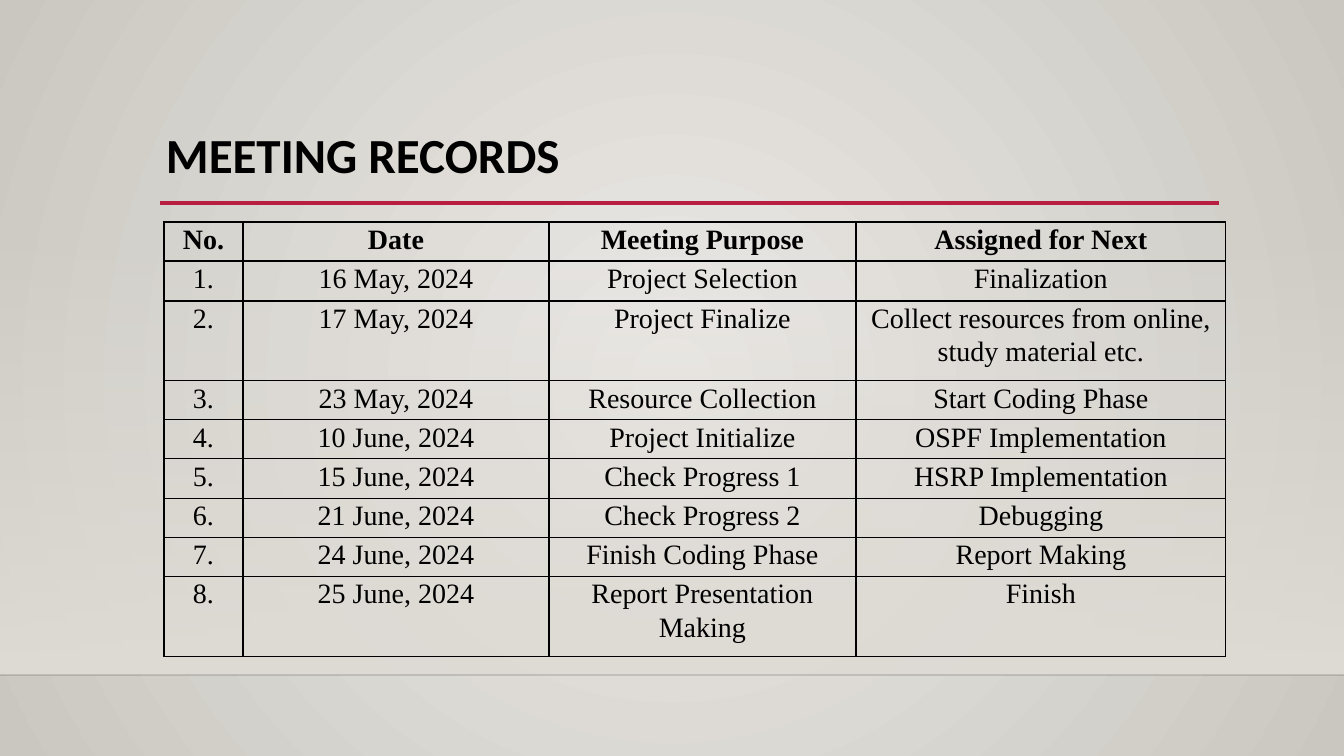
from lxml.etree import SubElement
from pptx import Presentation
from pptx.dml.color import RGBColor
from pptx.enum.shapes import MSO_CONNECTOR as Connector, MSO_SHAPE as Shape
from pptx.enum.text import MSO_ANCHOR as Anchor, PP_ALIGN as Align
from pptx.oxml import parse_xml
from pptx.oxml.ns import nsdecls, qn
from pptx.util import Emu, Pt

WIDTH, HEIGHT = 1344, 756
BLACK, RED = "000000", "B71E42"
COLUMNS = [79, 306, 307, 370]
ROWS = [39, 40, 80, 39, 39, 40, 39, 39, 80]
MEETINGS = [
    ("No.", "Date", "Meeting Purpose", "Assigned for Next"),
    ("1.", "16 May, 2024", "Project Selection", "Finalization"),
    ("2.", "17 May, 2024", "Project Finalize",
     "Collect resources from online, study material etc."),
    ("3.", "23 May, 2024", "Resource Collection", "Start Coding Phase"),
    ("4.", "10 June, 2024", "Project Initialize", "OSPF Implementation"),
    ("5.", "15 June, 2024", "Check Progress 1", "HSRP Implementation"),
    ("6.", "21 June, 2024", "Check Progress 2", "Debugging"),
    ("7.", "24 June, 2024", "Finish Coding Phase", "Report Making"),
    ("8.", "25 June, 2024", "Report Presentation Making", "Finish"),
]
RADIAL = (f'<a:path {nsdecls("a")} path="circle">'
          '<a:fillToRect l="50000" t="50000" r="50000" b="50000"/></a:path>')
DOWNWARD = f'<a:lin {nsdecls("a")} ang="5400000" scaled="0"/>'


def px(length):
    """Turn pixels into EMU."""
    return Emu(round(length * 914400 / 100.8))


def rgb(code):
    """Turn a hex string into a colour."""
    return RGBColor.from_string(code)


def set_alpha(color_node, percent):
    """Set the opacity of a colour element."""
    SubElement(color_node, qn("a:alpha")).set("val", str(percent * 1000))


def paint_gradient(fill, owner, colors, direction):
    """Give a fill two colour stops and a direction, and return its element."""
    fill.gradient()
    for stop, code in zip(fill.gradient_stops, colors):
        stop.color.rgb = rgb(code)
    gradient = owner.find(".//" + qn("a:gradFill"))
    gradient.replace(gradient.find(qn("a:lin")), parse_xml(direction))
    return gradient


def add_wall(page):
    """Add the panel that fades in towards the floor."""
    wall = page.shapes.add_shape(Shape.RECTANGLE, 0, px(223), px(WIDTH), px(452))
    wall.shadow.inherit = False
    wall.line.fill.background()
    gradient = paint_gradient(wall.fill, wall.element, ["DFDBD5"] * 2, DOWNWARD)
    set_alpha(gradient.find(".//" + qn("a:srgbClr")), 0)


def add_rule(page, left, right, top, color, weight, opacity=100):
    """Add a horizontal line."""
    rule = page.shapes.add_connector(
        Connector.STRAIGHT, px(left), px(top), px(right), px(top))
    rule.line.color.rgb = rgb(color)
    rule.line.width = Pt(weight)
    set_alpha(rule.element.find(".//" + qn("a:srgbClr")), opacity)
    SubElement(rule.element.spPr, qn("a:effectLst"))


def write(para, text, font, size, bold, spacing):
    """Write one run into a paragraph."""
    para.line_spacing = spacing
    span = para.add_run()
    span.text = text
    span.font.name = font
    span.font.size = Pt(size)
    span.font.bold = bold
    span.font.color.rgb = rgb(BLACK)


def add_title(page, text):
    """Add the slide heading."""
    box = page.shapes.add_textbox(px(156), px(124), px(929), px(37))
    frame = box.text_frame
    frame.word_wrap = True
    frame.vertical_anchor = Anchor.TOP
    frame.margin_top = px(7)
    write(frame.paragraphs[0], text, "Calibri", 35, True, 0.9)


def add_borders(cell):
    """Draw a thin black line on each side of a cell."""
    properties = cell._tc.get_or_add_tcPr()
    for index, side in enumerate(("lnL", "lnR", "lnT", "lnB")):
        properties.insert(index, parse_xml(
            f'<a:{side} {nsdecls("a")} w="{Pt(1)}"><a:solidFill>'
            f'<a:srgbClr val="{BLACK}"/></a:solidFill></a:{side}>'))


def add_meetings(page):
    """Add the table of meetings."""
    table = page.shapes.add_table(
        len(ROWS), len(COLUMNS), px(164), px(222),
        px(sum(COLUMNS)), px(sum(ROWS))).table
    table.first_row = table.horz_banding = False
    for column, width in zip(table.columns, COLUMNS):
        column.width = px(width)
    for number, (row, height) in enumerate(zip(table.rows, ROWS)):
        row.height = px(height)
        for cell, text in zip(row.cells, MEETINGS[number]):
            cell.margin_left = cell.margin_right = px(7)
            cell.margin_top = cell.margin_bottom = 0
            cell.fill.background()
            add_borders(cell)
            para = cell.text_frame.paragraphs[0]
            para.alignment = Align.CENTER
            write(para, text, "Times New Roman", 20, number == 0, 1.07)


def main():
    """Build the slide and save it."""
    deck = Presentation()
    deck.slide_width, deck.slide_height = px(WIDTH), px(HEIGHT)
    page = deck.slides.add_slide(deck.slide_layouts[6])
    paint_gradient(page.background.fill, page.element, ["ECEAE7", "CAC7C1"], RADIAL)
    add_wall(page)
    add_rule(page, 0, WIDTH, 675, "000001", 1, opacity=20)
    add_rule(page, 160, 1219, 203, RED, 2.5)
    add_title(page, "MEETING RECORDS")
    add_meetings(page)
    deck.save("out.pptx")


if __name__ == "__main__":
    main()
